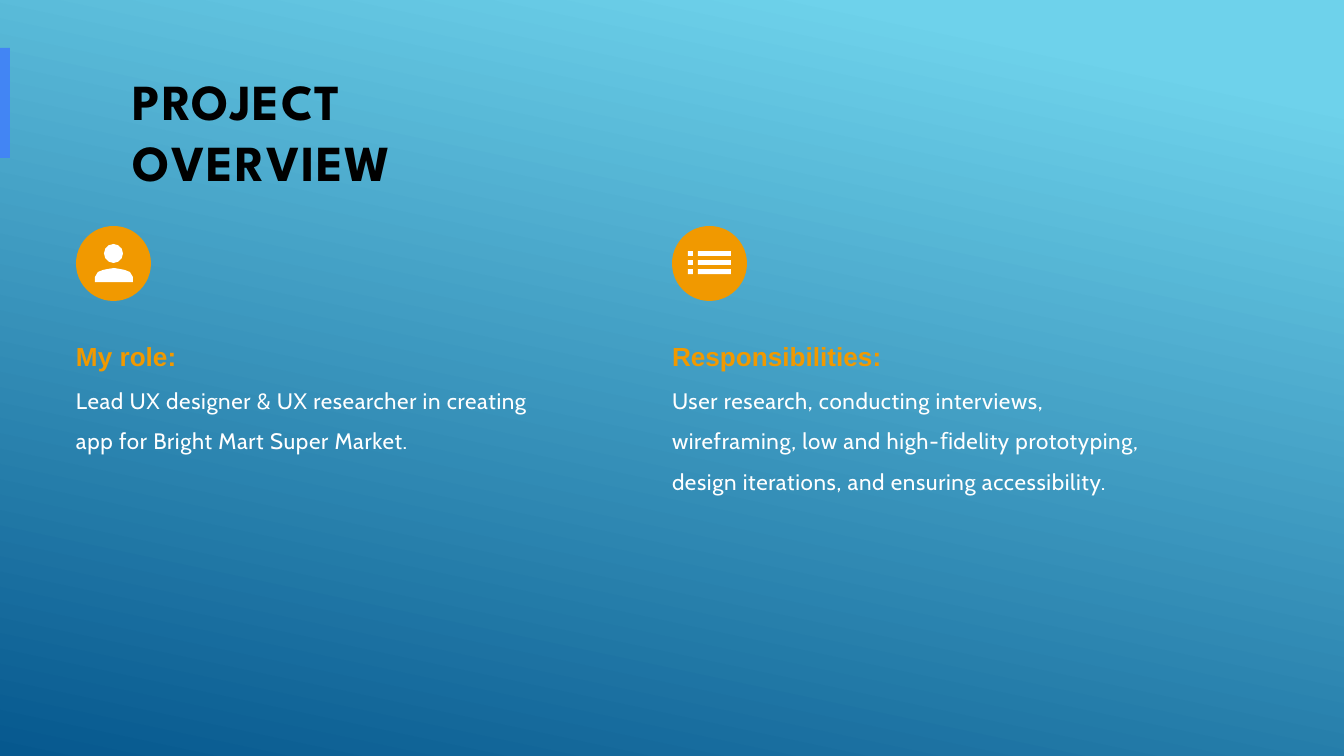
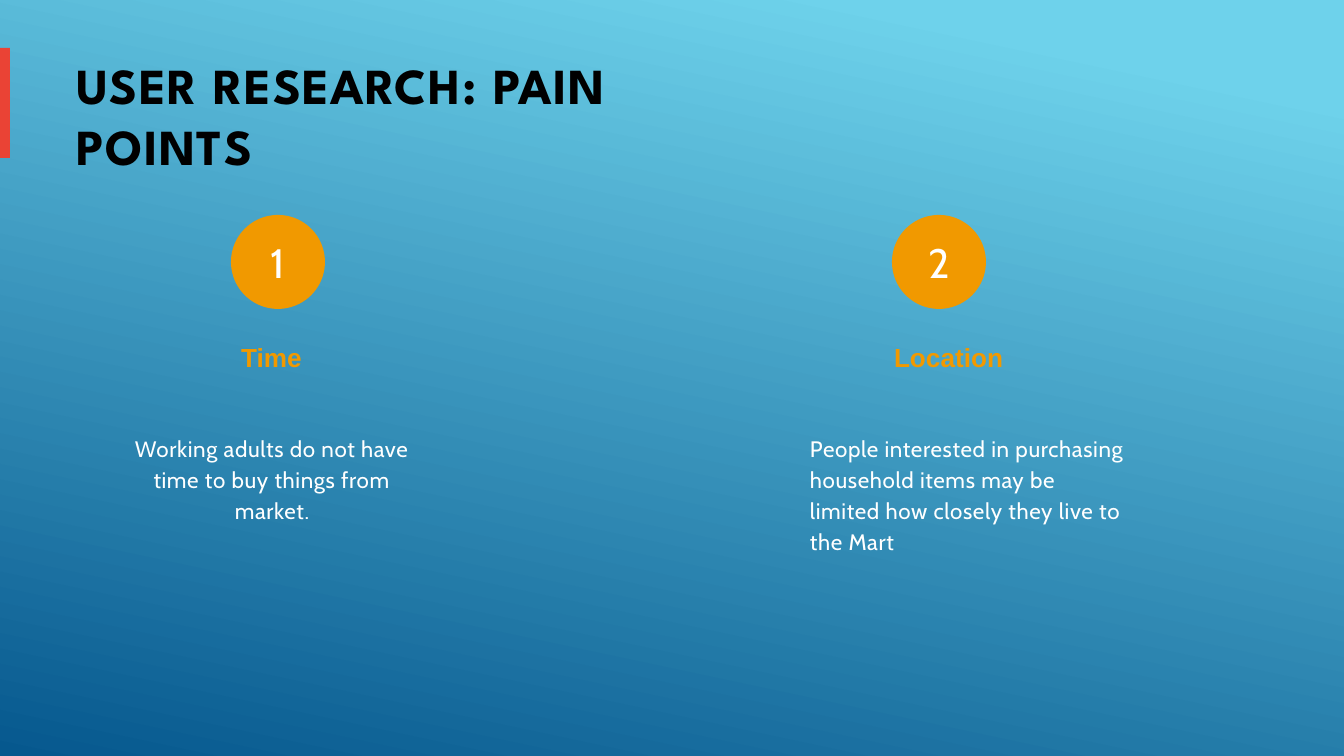
"""Build two slides of a UX case study: project overview and pain points."""
from pptx import Presentation
from pptx.dml.color import RGBColor
from pptx.enum.shapes import MSO_SHAPE
from pptx.enum.text import MSO_ANCHOR, MSO_AUTO_SIZE, PP_ALIGN
from pptx.util import Pt

OVAL, RECT = MSO_SHAPE.OVAL, MSO_SHAPE.RECTANGLE
MIDDLE = MSO_ANCHOR.MIDDLE
GROW = MSO_AUTO_SIZE.SHAPE_TO_FIT_TEXT
LEFT, CENTER = PP_ALIGN.LEFT, PP_ALIGN.CENTER

PX = 914400 / 134.4
WIDE, HIGH = 1344, 756
COLORS = {
    "sky": "6ED2EB",
    "deep": "06588E",
    "blue": "4285F4",
    "red": "EA4335",
    "gold": "F19900",
    "white": "FFFFFF",
    "black": "000000",
}
FONTS = {
    "title": {"name": "League Spartan", "size": Pt(27), "bold": True},
    "head": {"name": "Arial", "size": Pt(14), "bold": True},
    "body": {"name": "Cabin", "size": Pt(12), "bold": False},
    "count": {"name": "Cabin", "size": Pt(22), "bold": False},
}
INKS = {"title": "black", "head": "gold", "body": "white", "count": "white"}
TRACKS = {"title": 80, "head": 0, "body": 35, "count": 0}


def px(num):
    """Turn pixels into EMU."""
    return round(num * PX)


def rgb(name):
    """Look up a colour by name."""
    return RGBColor.from_string(COLORS[name])


def assign(target, values):
    """Set each attribute in a dict on the target."""
    for key, value in values.items():
        setattr(target, key, value)


def paint(shape, color):
    """Give a shape a flat fill with no line or shadow."""
    shape.shadow.inherit = False
    shape.fill.solid()
    shape.fill.fore_color.rgb = rgb(color)
    shape.line.fill.background()
    return shape


def block(slide, kind, box, color):
    """Add a plain preset shape."""
    return paint(slide.shapes.add_shape(kind, *map(px, box)), color)


def outline(slide, loops, color):
    """Add one freeform made of closed loops of points."""
    pen = slide.shapes.build_freeform(*loops[0][0], scale=PX)
    for num, loop in enumerate(loops):
        if num:
            pen.move_to(*loop[0])
        pen.add_line_segments(loop[1:], close=True)
    return paint(pen.convert_to_shape(), color)


def write(para, words, style, **form):
    """Fill a paragraph with words in a named style."""
    assign(para, form)
    run = para.add_run()
    run.text = words
    assign(run.font, FONTS[style])
    run.font.color.rgb = rgb(INKS[style])
    run._r.get_or_add_rPr().set("spc", str(TRACKS[style]))


def label(slide, box, lines, top=1, left=2, right=0, **frame):
    """Add a text box holding (words, style, form) lines."""
    text = slide.shapes.add_textbox(*map(px, box)).text_frame
    assign(text, {
        "word_wrap": True,
        "auto_size": GROW,
        "margin_left": px(left),
        "margin_top": px(top),
        "margin_right": px(right),
        "margin_bottom": 0,
        **frame,
    })
    for num, (words, style, form) in enumerate(lines):
        para = text.add_paragraph() if num else text.paragraphs[0]
        write(para, words, style, **form)


def start(deck, title, box, accent):
    """Add a slide with gradient, side bar and title."""
    slide = deck.slides.add_slide(deck.slide_layouts[6])
    fill = slide.background.fill
    fill.gradient()
    fill.gradient_angle = 258
    stops = (("sky", 0.1), ("deep", 1.0))
    for stop, (color, place) in zip(fill.gradient_stops, stops):
        stop.color.rgb = rgb(color)
        stop.position = place
    block(slide, RECT, (0, 48, 10, 110), accent)
    label(slide, box, [(title, "title", {})], vertical_anchor=MIDDLE)
    return slide


def person(slide, x, y):
    """Draw a head and shoulders icon."""
    half = [(19, 56), (19, 51), (16, 46), (11, 44), (6, 43), (0, 42)]
    mid = x + 38
    torso = [(mid - dx, y + dy) for dx, dy in half]
    torso += [(mid + dx, y + dy) for dx, dy in half[-2::-1]]
    block(slide, OVAL, (x + 28, y + 18, 19, 19), "white")
    outline(slide, [torso], "white")


def bullets(slide, x, y):
    """Draw a three-row list icon."""
    loops = []
    for left, wide in ((x + 16, 5), (x + 26, 33)):
        for row in range(3):
            top = y + 25 + 9 * row
            loops.append([(left, top), (left + wide, top),
                          (left + wide, top + 5), (left, top + 5)])
    outline(slide, loops, "white")


def column(slide, x, size, icon, head, body):
    """Add an icon badge above a heading and its text."""
    block(slide, OVAL, (x, 226, 75, 75), "gold")
    icon(slide, x, 226)
    form = {"line_spacing": 1.5, "space_before": Pt(1.2)}
    lines = [(head, "head", {}), (body, "body", form)]
    label(slide, (x - 2, 320, *size), lines, top=20)


def point(slide, num, x, head, spot, body, box, align, left, right):
    """Add a numbered badge, its heading and its text."""
    badge = block(slide, OVAL, (x, 215, 94, 94), "gold").text_frame
    badge.vertical_anchor = MIDDLE
    write(badge.paragraphs[0], str(num), "count", alignment=CENTER)
    label(slide, spot, [(head, "head", {})])
    form = {"alignment": align, "line_spacing": 1.15}
    label(slide, box, [(body, "body", form)], left=left, right=right)


def main():
    """Build and save the deck."""
    deck = Presentation()
    assign(deck, {"slide_width": px(WIDE), "slide_height": px(HIGH)})

    slide = start(deck, "PROJECT OVERVIEW", (131, 69, 347, 123), "blue")
    column(slide, 76, (476, 137), person, "My role:",
           "Lead UX designer & UX researcher in creating app for "
           "Bright Mart Super Market.")
    column(slide, 672, (491, 177), bullets, "Responsibilities:",
           "User research, conducting interviews, wireframing, low and "
           "high-ﬁdelity prototyping, design iterations, and ensuring "
           "accessibility.")

    slide = start(deck, "USER RESEARCH: PAIN POINTS", (74, 53, 687, 123), "red")
    point(slide, 1, 231, "Time", (239, 340, 66, 35),
          "Working adults do not have time to buy things from market.",
          (126, 430, 290, 95), CENTER, 2, 0)
    point(slide, 2, 892, "Location", (892, 340, 112, 35),
          "People interested in purchasing household items may be limited "
          "how closely they live to the Mart",
          (796, 430, 345, 126), LEFT, 14, 10)

    deck.save("out.pptx")


if __name__ == "__main__":
    main()
